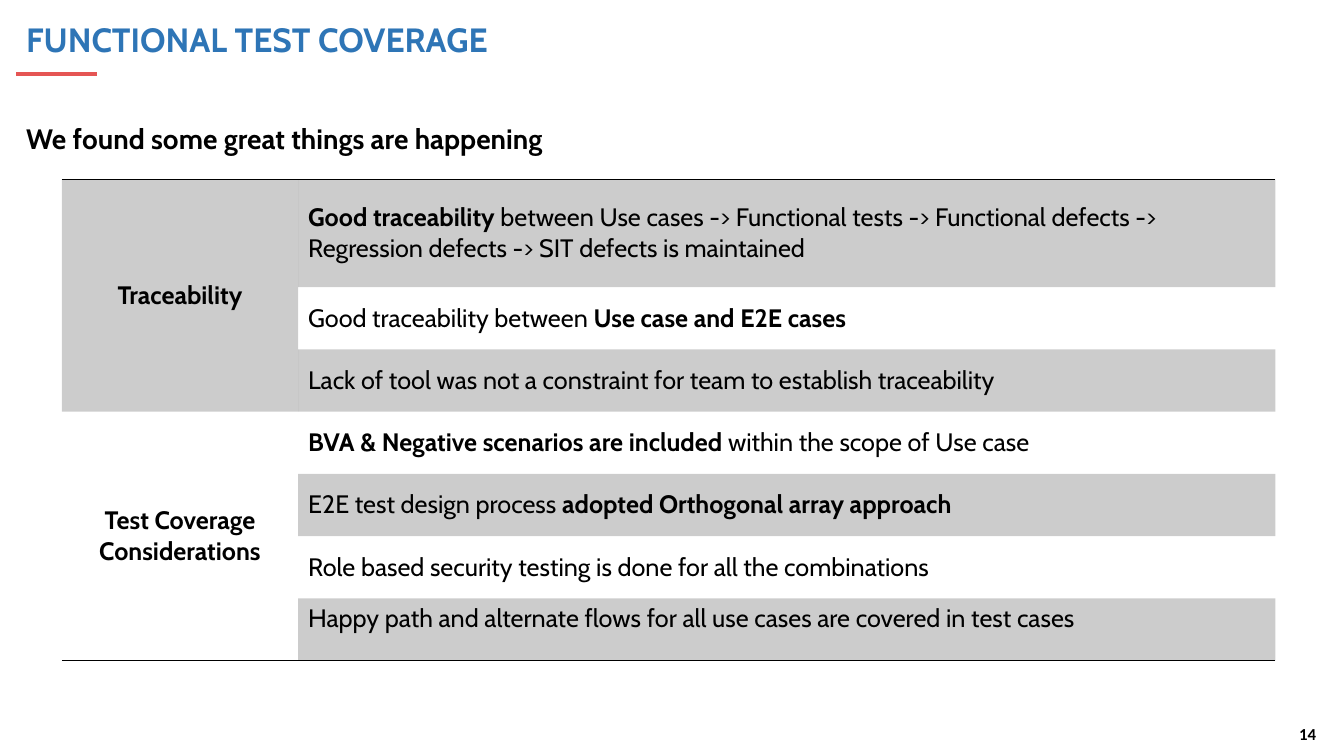
"""Build the functional test coverage slide."""
from dataclasses import dataclass

import lxml.etree
import pptx
import pptx.dml.color
import pptx.enum.shapes
import pptx.enum.text
import pptx.oxml
import pptx.oxml.ns
import pptx.util

Pt = pptx.util.Pt
ALIGN = pptx.enum.text.PP_ALIGN
ANCHOR = pptx.enum.text.MSO_ANCHOR
COLORS = {"black": "000000", "blue": "2E75B6", "red": "E55554"}
PLAIN_STYLE = "{2D5ABB26-0587-4C30-8999-92F81FD0307C}"
WIDTHS = (168.7, 698.2)
TALL, SHORT = 76.8, 44.5


@dataclass
class Group:
    title: str
    lines: list[str]
    shaded: bool


@dataclass
class Label:
    text: str
    left: float
    top: float
    width: float
    height: float
    size: float
    color: str = "black"
    font: str = "Cabin"
    anchor: ANCHOR = ANCHOR.TOP
    spacing: float = 1.0


LABELS = [
    Label("**14**", 920.9, 513.4, 32.4, 21.6, 12, font="Calibri"),
    Label("**FUNCTIONAL TEST COVERAGE**", 11.5, 6.5, 778.3, 46.8, 24,
          color="blue", anchor=ANCHOR.MIDDLE, spacing=0.9),
    Label("**We found some great things are happening**",
          11.5, 83.5, 560.9, 31.7, 20),
]
GROUPS = [
    Group("**Traceability**", [
        "**Good traceability** between Use cases -> Functional tests -> "
        "Functional defects -> Regression defects -> SIT defects is maintained",
        "Good traceability between **Use case and E2E cases**",
        "Lack of tool was not a constraint for team to establish traceability",
    ], True),
    Group("**Test Coverage Considerations**", [
        "**BVA & Negative scenarios are included **within the scope of Use case",
        "E2E test design process **adopted Orthogonal array approach**",
        "Role based security testing is done for all the combinations",
        "Happy path and alternate flows for all use cases are covered in test cases",
    ], False),
]


def paint(name: str) -> pptx.dml.color.RGBColor:
    """Return the named colour."""
    return pptx.dml.color.RGBColor.from_string(COLORS[name])


def write(frame, text: str, *, size: float = 18, color: str = "black",
          font: str = "Cabin", align: ALIGN = ALIGN.LEFT,
          spacing: float = 1.0) -> None:
    """Write one paragraph, with bold parts between double stars."""
    frame.word_wrap = True
    para = frame.paragraphs[0]
    para.alignment = align
    para.line_spacing = spacing
    for index, part in enumerate(text.split("**")):
        if part:
            run = para.add_run()
            run.text = part
            run.font.name = font
            run.font.size = Pt(size)
            run.font.bold = index % 2 == 1
            run.font.color.rgb = paint(color)


def add_label(slide, label: Label) -> None:
    """Add a text box."""
    box = slide.shapes.add_textbox(
        Pt(label.left), Pt(label.top), Pt(label.width), Pt(label.height))
    box.text_frame.vertical_anchor = label.anchor
    write(box.text_frame, label.text, size=label.size, color=label.color,
          font=label.font, spacing=label.spacing)


def add_rule(slide) -> None:
    """Add the red line under the title."""
    rule = slide.shapes.add_connector(
        pptx.enum.shapes.MSO_CONNECTOR.STRAIGHT,
        Pt(11.5), Pt(52.8), Pt(69.1), Pt(52.8))
    rule.line.color.rgb = paint("red")
    rule.line.width = Pt(3)
    lxml.etree.SubElement(rule._element.spPr, pptx.oxml.ns.qn("a:effectLst"))


def add_edge(cell, side: str) -> None:
    """Draw a black border on one side of a cell."""
    cell._tc.get_or_add_tcPr().append(pptx.oxml.parse_xml(
        f'<a:ln{side} {pptx.oxml.ns.nsdecls("a")} w="{Pt(1)}"><a:solidFill>'
        f'<a:srgbClr val="{COLORS["black"]}"/></a:solidFill></a:ln{side}>'))


def shade(cell, shaded: bool) -> None:
    """Fill a cell with light black, or with nothing."""
    if not shaded:
        cell.fill.background()
        return
    cell.fill.solid()
    cell.fill.fore_color.rgb = paint("black")
    tone = cell._tc.tcPr.find(".//" + pptx.oxml.ns.qn("a:solidFill") + "/*[last()]")
    for solid in cell._tc.tcPr.findall(pptx.oxml.ns.qn("a:solidFill")):
        tone = solid[0]
    lxml.etree.SubElement(tone, pptx.oxml.ns.qn("a:alpha"), val="20000")


def add_grid(slide) -> None:
    """Add the table of findings."""
    count = sum(len(group.lines) for group in GROUPS)
    heights = [TALL] + [SHORT] * (count - 1)
    frame = slide.shapes.add_table(
        count, len(WIDTHS), Pt(44.2), Pt(128.2), Pt(sum(WIDTHS)), Pt(sum(heights)))
    grid = frame.table
    grid.first_row = grid.horz_banding = False
    grid._tbl.tblPr.find(pptx.oxml.ns.qn("a:tableStyleId")).text = PLAIN_STYLE
    for column, width in zip(grid.columns, WIDTHS):
        column.width = Pt(width)
    for row, height in zip(grid.rows, heights):
        row.height = Pt(height)
    start = 0
    for group in GROUPS:
        end = start + len(group.lines)
        head = grid.cell(start, 0)
        head.merge(grid.cell(end - 1, 0))
        head.vertical_anchor = ANCHOR.MIDDLE
        write(head.text_frame, group.title, align=ALIGN.CENTER)
        for row, line in enumerate(group.lines, start):
            cell = grid.cell(row, 1)
            last = row == count - 1
            cell.vertical_anchor = ANCHOR.TOP if last else ANCHOR.MIDDLE
            write(cell.text_frame, line)
        start = end
    for cell in (grid.cell(0, 0), grid.cell(0, 1)):
        add_edge(cell, "T")
    foot = count - len(GROUPS[-1].lines)
    for cell in (grid.cell(foot, 0), grid.cell(count - 1, 0), grid.cell(count - 1, 1)):
        add_edge(cell, "B")
    start = 0
    for group in GROUPS:
        for row in range(start, start + len(group.lines)):
            shade(grid.cell(row, 0), group.shaded)
            shade(grid.cell(row, 1), row % 2 == 0)
        start += len(group.lines)


def main() -> None:
    """Build and save the slide."""
    deck = pptx.Presentation()
    deck.slide_width, deck.slide_height = Pt(960), Pt(540)
    slide = deck.slides.add_slide(deck.slide_layouts[6])
    add_rule(slide)
    for label in LABELS:
        add_label(slide, label)
    add_grid(slide)
    deck.save("out.pptx")


if __name__ == "__main__":
    main()
